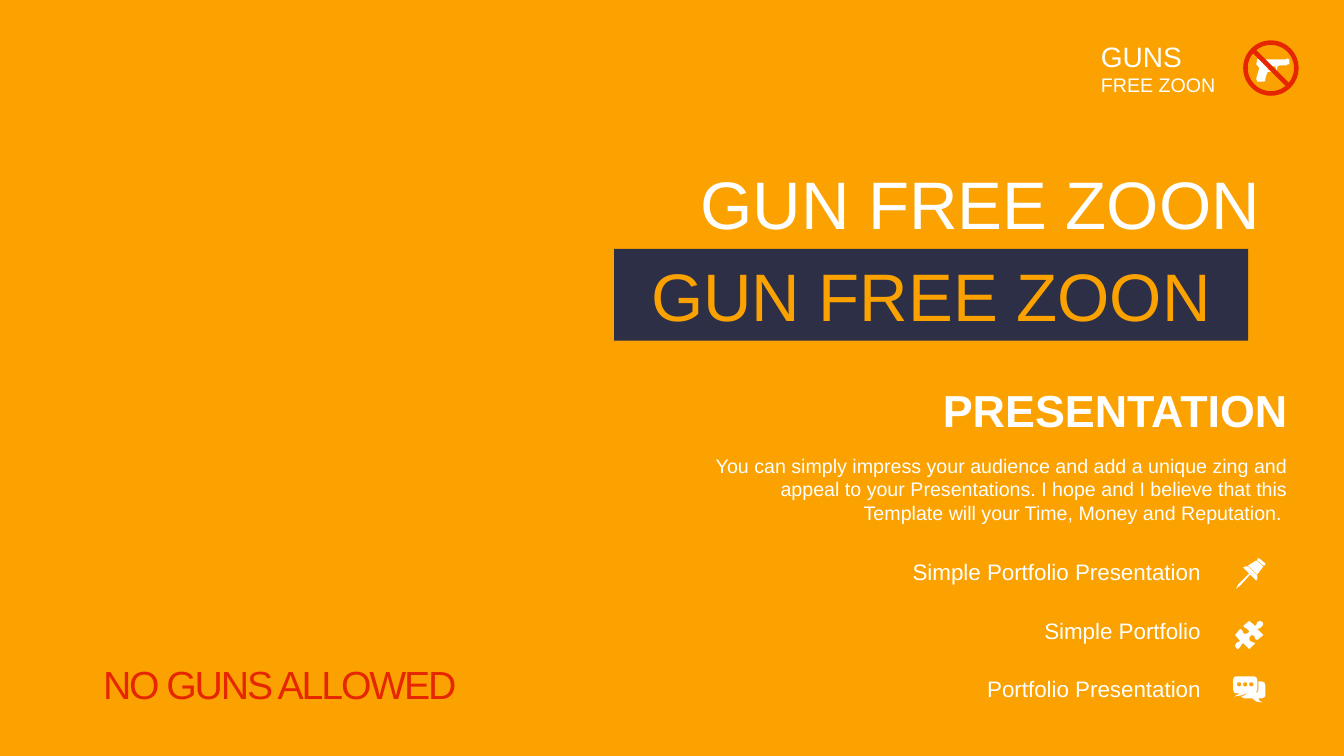
"""Build the gun-free zone cover slide."""
from pptx import Presentation
from pptx import util as u
from pptx.dml.color import RGBColor
from pptx.enum import shapes, text
from pptx.oxml.xmlchemy import OxmlElement

ORANGE, NAVY, RED, WHITE = "FBA200", "2C2F45", "E62601", "FFFFFF"
LEFT, CENTER, RIGHT = text.PP_ALIGN.JUSTIFY, text.PP_ALIGN.CENTER, text.PP_ALIGN.RIGHT
TOP, MIDDLE = text.MSO_ANCHOR.TOP, text.MSO_ANCHOR.MIDDLE
UNIT = u.Inches(0.01)

HEADING = "GUN FREE ZOON"
HEADING_SIZE = (6.29, 0.91)
HEADING_TOP = 1.56
BADGE = [("GUNS", 20), ("FREE ZOON", 14)]
SUBTITLE = "PRESENTATION"
SUMMARY = ("You can simply impress your audience and add a unique zing and appeal to your "
           "Presentations. I hope and I believe that this Template will your Time, Money "
           "and Reputation. ")
FEATURES = ["Simple Portfolio Presentation", "Simple Portfolio", "Portfolio Presentation"]
FEATURE_SIZE, FEATURE_PITCH, FEATURE_LINE = 16, 0.57, 0.8
SLOGAN = "NO GUNS ALLOWED"

GUN = [
    [(1247, 81), (1246, 78), (1249, 68), (1248, 66), (1247, 65), (1246, 64), (1247, 59),
     (1250, 58), (1252, 59), (1275, 59), (1277, 58), (1279, 59), (1279, 63), (1278, 64),
     (1277, 64), (1276, 65), (1269, 65), (1267, 66), (1267, 67), (1266, 70), (1263, 71),
     (1259, 71), (1257, 72), (1255, 78), (1255, 80), (1254, 81)],
    [(1262, 69), (1261, 69), (1260, 67), (1259, 66), (1258, 67), (1257, 69), (1260, 70),
     (1263, 70), (1266, 69), (1265, 66), (1261, 66)],
]
PIN = [
    [(1238, 562), (1247, 571), (1247, 574), (1246, 576), (1240, 570), (1230, 581),
     (1226, 584), (1228, 580), (1239, 569), (1233, 563), (1235, 562)],
    [(1246, 556), (1253, 562), (1247, 570), (1238, 561)],
    [(1249, 554), (1255, 559), (1255, 561), (1253, 561), (1247, 556), (1247, 554)],
]
PUZZLE = [
    [(1252, 617), (1253, 619), (1252, 621), (1250, 623), (1247, 624), (1253, 630),
     (1247, 635), (1245, 634), (1244, 631), (1242, 630), (1240, 631), (1239, 634),
     (1240, 636), (1242, 637), (1245, 638), (1239, 644), (1233, 638), (1231, 640),
     (1230, 642), (1228, 644), (1226, 643), (1225, 641), (1226, 638), (1228, 637),
     (1230, 636), (1225, 630), (1230, 624), (1232, 625), (1233, 628), (1235, 629),
     (1238, 628), (1239, 626), (1237, 624), (1235, 623), (1233, 621), (1239, 616),
     (1245, 621), (1246, 620), (1247, 617), (1250, 616)],
]
DOT = [(2, 1), (1, 2), (-1, 2), (-2, 1), (-2, -1), (-1, -2), (1, -2), (2, -1)]
CHAT = [
    [(1248, 676), (1251, 676), (1254, 677), (1255, 680), (1255, 690), (1254, 692),
     (1251, 693), (1248, 693), (1249, 695), (1252, 697), (1246, 696), (1242, 693),
     (1234, 693), (1231, 691), (1234, 690), (1237, 688), (1245, 688), (1247, 687),
     (1248, 685)],
    [(1226, 671), (1244, 671), (1246, 672), (1247, 674), (1247, 684), (1246, 687),
     (1244, 688), (1236, 688), (1231, 690), (1224, 691), (1230, 688), (1226, 688),
     (1224, 687), (1223, 684), (1223, 674), (1224, 672)],
] + [[(x + dx, 679 + dy) for dx, dy in DOT] for x in (1229, 1235, 1241)]


def colour(value):
    """Turn a hex string into a colour."""
    return RGBColor.from_string(value)


def place(shape, box):
    """Set position and size in inches."""
    for name, length in zip(("left", "top", "width", "height"), box):
        setattr(shape, name, u.Inches(length))
    return shape


def paint(shape, fill):
    """Give a shape a plain fill without line or shadow."""
    shape.shadow.inherit = False
    shape.fill.solid()
    shape.fill.fore_color.rgb = colour(fill)
    shape.line.fill.background()
    return shape


def write(shape, lines, ink, align, anchor=TOP, bold=False, **layout):
    """Write (words, size) lines into a shape; layout holds paragraph formats."""
    frame = shape.text_frame
    frame.word_wrap, frame.vertical_anchor = True, anchor
    frame.auto_size = text.MSO_AUTO_SIZE.NONE
    layout = {"alignment": align, "space_before": u.Pt(0), **layout}
    for index, (words, size) in enumerate(lines):
        para = frame.add_paragraph() if index else frame.paragraphs[0]
        for name, value in layout.items():
            setattr(para, name, value)
        span = para.add_run()
        span.text = words
        for name, value in {"size": u.Pt(size), "name": "Arial", "bold": bold}.items():
            setattr(span.font, name, value)
        span.font.color.rgb = colour(ink)
    return frame


def draw_icon(page, outlines):
    """Draw closed outlines as one white freeform."""
    builder = page.shapes.build_freeform(*outlines[0][0], scale=UNIT)
    for index, (start, *rest) in enumerate(outlines):
        if index:
            builder.move_to(*start)
        builder.add_line_segments(rest, close=True)
    paint(builder.convert_to_shape(), WHITE)


def add_text(page, box, *args, **formats):
    """Add a text box and write into it."""
    return write(place(page.shapes.add_textbox(0, 0, 0, 0), box), *args, **formats)


def add_block(page, kind, box, fill):
    """Add a filled preset shape."""
    return paint(place(page.shapes.add_shape(kind, 0, 0, 1, 1), box), fill)


def main():
    """Assemble and save the slide."""
    deck = Presentation()
    deck.slide_width, deck.slide_height = u.Inches(13.33), u.Inches(7.5)
    page = deck.slides.add_slide(deck.slide_layouts[1])
    page.background.fill.solid()
    page.background.fill.fore_color.rgb = colour(ORANGE)
    kinds = shapes.MSO_SHAPE

    title, body = page.placeholders
    heading = [(HEADING, 48)]
    write(place(title, (6.58, HEADING_TOP, *HEADING_SIZE)), heading, WHITE, CENTER)
    band_box = (6.09, HEADING_TOP + HEADING_SIZE[1], *HEADING_SIZE)
    write(add_block(page, kinds.RECTANGLE, band_box, NAVY), heading, ORANGE, CENTER)

    slogan = add_block(page, kinds.PARALLELOGRAM, (0.29, 6.42, 4.97, 0.72), ORANGE)
    slogan.adjustments[0] = 0.31
    frame = write(slogan, [(SLOGAN, 28)], RED, CENTER, MIDDLE)
    frame.paragraphs[0].runs[0].font._element.set("spc", "-150")

    draw_icon(page, GUN)
    sign = add_block(page, kinds.NO_SYMBOL, (12.33, 0.4, 0.55, 0.55), RED)
    sign.adjustments[0] = 0.083
    add_text(page, (10.82, 0.34, 1.39, 0.67), BADGE, WHITE, LEFT)

    add_text(page, (6.88, 3.74, 5.99, 0.64), [(SUBTITLE, 32)], WHITE, RIGHT, MIDDLE, bold=True)
    add_text(page, (6.88, 4.45, 5.99, 0.81), [(SUMMARY, 14)], WHITE, RIGHT)

    gap = FEATURE_PITCH * 72 - FEATURE_SIZE * 1.15 * FEATURE_LINE
    features = [(words, FEATURE_SIZE) for words in FEATURES]
    frame = write(place(body, (8.78, 5.54, 3.23, 1.46)), features, WHITE, RIGHT,
                  line_spacing=FEATURE_LINE, space_after=u.Pt(gap))
    for para in frame.paragraphs:
        props = para._p.get_or_add_pPr()
        props.set("marL", "0")
        props.set("indent", "0")
        props.append(OxmlElement("a:buNone"))
    for icon in (PIN, PUZZLE, CHAT):
        draw_icon(page, icon)

    deck.save("out.pptx")


if __name__ == "__main__":
    main()
